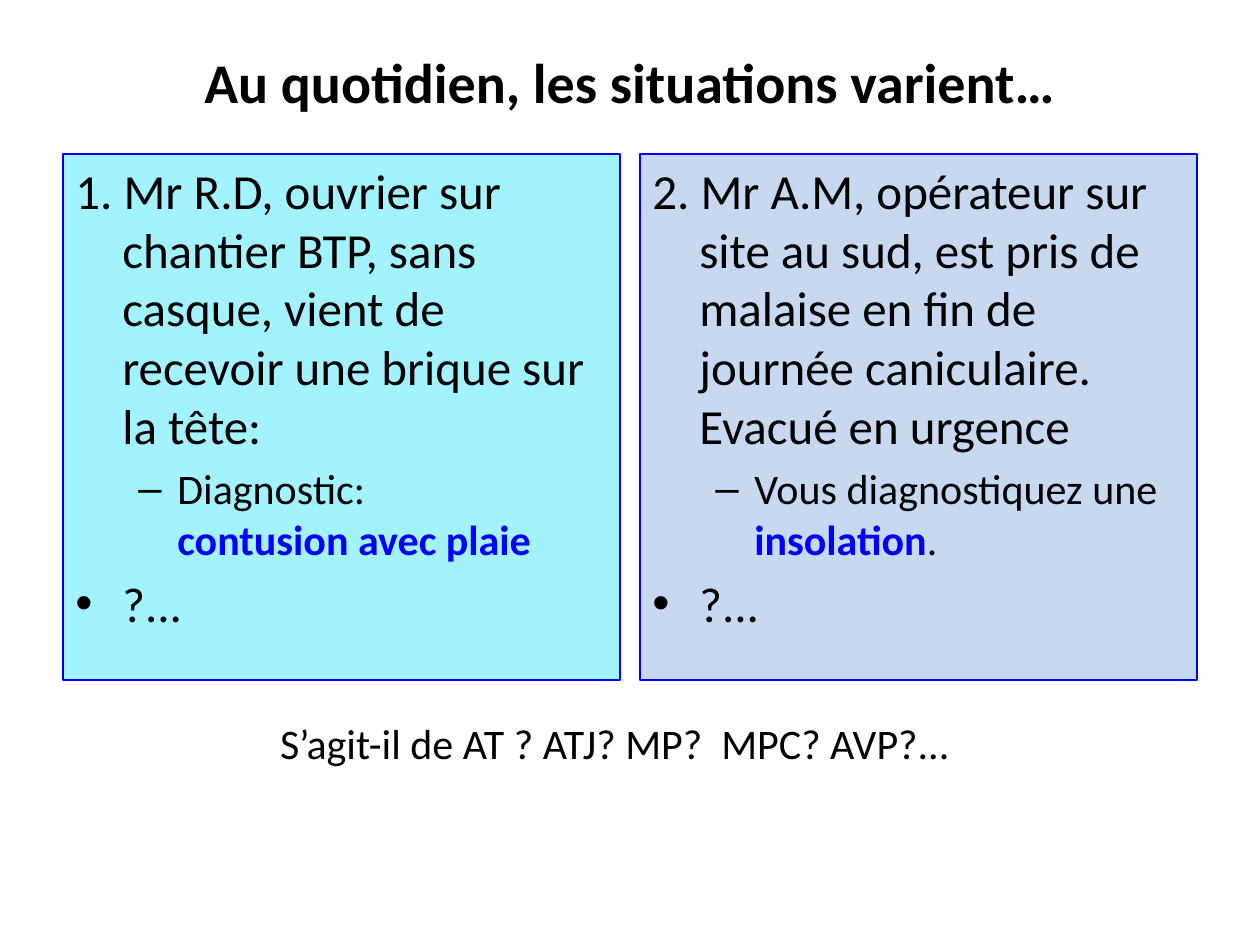
from lxml.etree import SubElement
from pptx import Presentation
from pptx.dml.color import RGBColor
from pptx.enum.shapes import MSO_SHAPE as Shape
from pptx.enum.text import MSO_ANCHOR as Anchor, PP_ALIGN as Align
from pptx.oxml.ns import qn
from pptx.util import Emu, Pt

PX_PER_INCH = 126
FONT = "Calibri"
BLACK = RGBColor(0x00, 0x00, 0x00)
BLUE = RGBColor(0x00, 0x00, 0xFF)
CYAN = RGBColor(0xA2, 0xF3, 0xFE)
PALE_BLUE = RGBColor(0xC6, 0xD9, 0xF1)

CARD_LEFT, CARD_TOP = 63, 154
CARD_WIDTH, CARD_HEIGHT = 557, 526
CARD_STEP = 577

CASES = [
    (CYAN,
     "1. Mr R.D, ouvrier sur chantier BTP, sans casque, vient de "
     "recevoir une brique sur la tête:",
     [("Diagnostic:\n", False), ("contusion avec plaie", True)]),
    (PALE_BLUE,
     "2. Mr A.M, opérateur sur site au sud, est pris de malaise en fin de "
     "journée caniculaire. Evacué en urgence",
     [("Vous diagnostiquez une ", False), ("insolation", True), (".", False)]),
]


def px(length):
    return Emu(round(length * 914400 / PX_PER_INCH))


def set_font(para, size, bold=False):
    para.font.name = FONT
    para.font.size = Pt(size)
    para.font.bold = bold
    para.font.color.rgb = BLACK


def set_indent(para, left, hanging, bullet=None):
    properties = para._p.get_or_add_pPr()
    properties.set("marL", str(px(left)))
    properties.set("indent", str(-px(hanging)))
    if bullet:
        SubElement(properties, qn("a:buFont"), typeface="Arial")
        SubElement(properties, qn("a:buChar"), char=bullet)


def add_spans(para, spans):
    for text, highlighted in spans:
        span = para.add_run()
        span.text = text.rstrip("\n")
        if highlighted:
            span.font.bold = True
            span.font.color.rgb = BLUE
        if text.endswith("\n"):
            para.add_line_break()


def add_centred_text(page, left, top, width, height, text, size, bold=False):
    box = page.shapes.add_textbox(px(left), px(top), px(width), px(height))
    frame = box.text_frame
    frame.word_wrap = True
    frame.vertical_anchor = Anchor.MIDDLE
    para = frame.paragraphs[0]
    para.text = text
    para.alignment = Align.CENTER
    set_font(para, size, bold)


def add_case(page, left, fill, story, diagnosis):
    card = page.shapes.add_shape(
        Shape.RECTANGLE, px(left), px(CARD_TOP), px(CARD_WIDTH), px(CARD_HEIGHT))
    card.shadow.inherit = False
    card.fill.solid()
    card.fill.fore_color.rgb = fill
    card.line.color.rgb = BLUE
    card.line.width = Pt(0.75)
    frame = card.text_frame
    frame.word_wrap = True
    frame.vertical_anchor = Anchor.TOP

    rows = [
        ([(story, False)], 0, 28, 47, 47, None),
        (diagnosis, 1, 24, 102, 39, "–"),
        ([("?...", False)], 0, 28, 47, 47, "•"),
    ]
    for index, (spans, level, size, indent, hanging, bullet) in enumerate(rows):
        para = frame.add_paragraph() if index else frame.paragraphs[0]
        para.level = level
        para.alignment = Align.LEFT
        if index:
            para.space_before = Pt(size * 0.2)
        set_indent(para, indent, hanging, bullet)
        set_font(para, size)
        add_spans(para, spans)


def main():
    deck = Presentation()
    deck.slide_width, deck.slide_height = px(1260), px(945)
    page = deck.slides.add_slide(deck.slide_layouts[6])
    add_centred_text(page, 63, 38, 1134, 87,
                     "Au quotidien, les situations varient…", 32, bold=True)
    for index, case in enumerate(CASES):
        add_case(page, CARD_LEFT + index * CARD_STEP, *case)
    add_centred_text(page, 263, 711, 704, 63,
                     "S’agit-il de AT ? ATJ? MP?  MPC? AVP?...", 24)
    deck.save("out.pptx")


if __name__ == "__main__":
    main()
